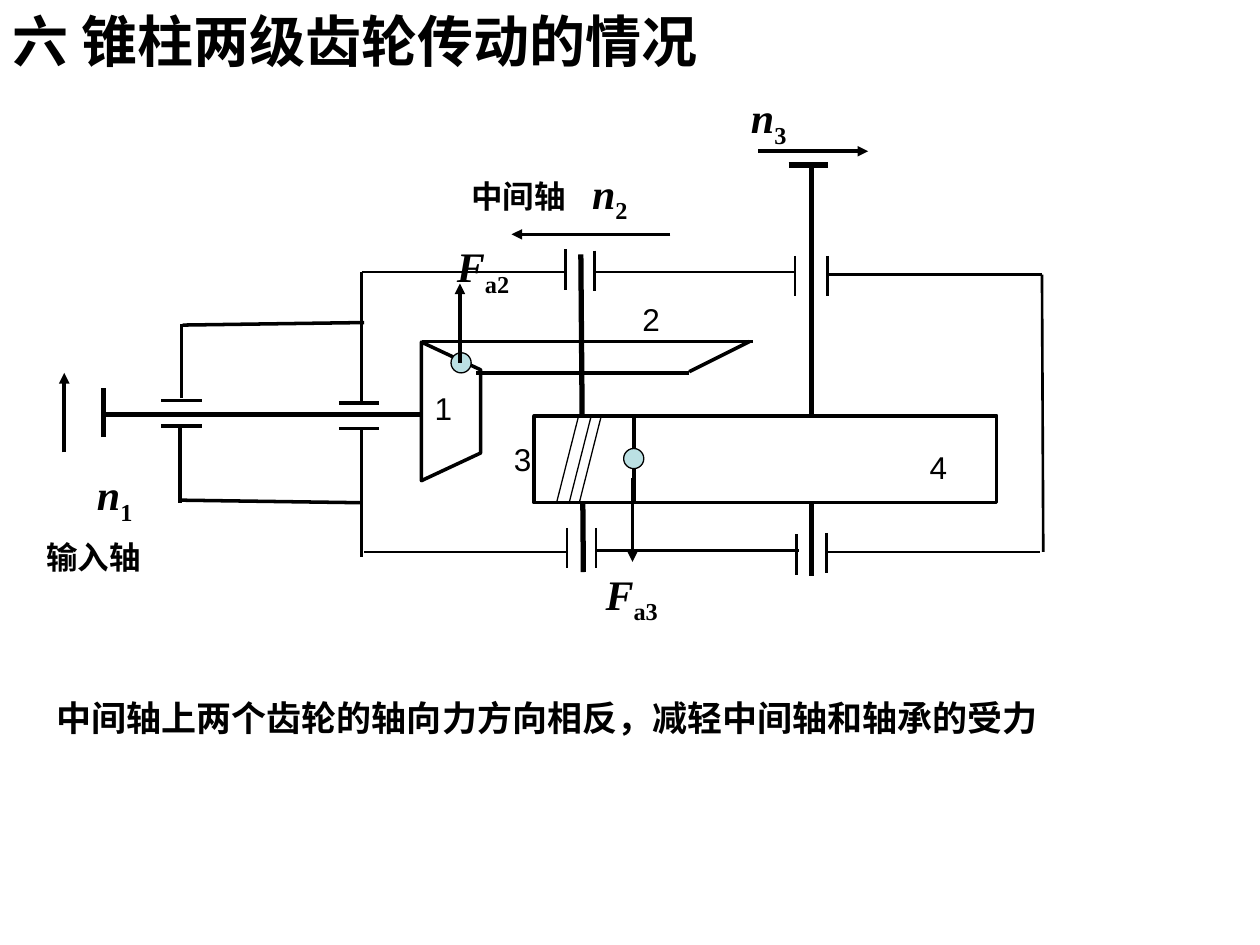
from pptx import Presentation
from pptx.util import Inches, Pt
from pptx.dml.color import RGBColor
from pptx.enum.shapes import MSO_CONNECTOR, MSO_SHAPE
from pptx.enum.text import MSO_ANCHOR, MSO_AUTO_SIZE, PP_ALIGN
from pptx.oxml.ns import qn
from lxml.etree import SubElement

BLACK = RGBColor(0x00, 0x00, 0x00)
WHITE = RGBColor(0xFF, 0xFF, 0xFF)
PALE_BLUE = RGBColor(0xBB, 0xE0, 0xE3)
CJK, SANS, SERIF = "Noto Sans CJK SC", "Arial", "Times New Roman"

# Content: text, left, top, width, height
TITLE = ("六 锥柱两级齿轮传动的情况", 0, 0, 6.18, 0.64)
CONCLUSION = ("中间轴上两个齿轮的轴向力方向相反，减轻中间轴和轴承的受力", 0.35, 5.48, 8.03, 0.44)
SHAFT_NAMES = [("输入轴", 0.27, 4.22), ("中间轴", 3.64, 1.36)]
GEAR_NUMBERS = [("1", 3.35, 3.04), ("2", 5, 2.33), ("3", 3.98, 3.44), ("4", 7.28, 3.51)]
SYMBOLS = [("n", "1", 0.2, 3.67), ("n", "2", 4.13, 1.28), ("n", "3", 5.39, 0.68),
           ("F", "a2", 3.19, 1.86), ("F", "a3", 4.37, 4.46)]

# Lines: x1, y1, x2, y2
SHAFTS = [(0.83, 3.29, 3.58, 3.29), (4.61, 2.02, 4.63, 4.54), (6.44, 1.31, 6.44, 4.57),
          (0.82, 3.47, 0.82, 3.08), (6.26, 1.31, 6.57, 1.31)]
HOUSING = [(2.87, 2.16, 4.48, 2.16), (4.72, 2.16, 6.32, 2.16), (6.57, 2.18, 8.27, 2.18),
           (2.89, 4.38, 4.49, 4.38), (4.74, 4.37, 6.34, 4.37), (6.56, 4.38, 8.25, 4.38),
           (8.27, 2.18, 8.28, 4.38)]
INPUT_HOUSING = [(2.87, 2.16, 2.87, 3.18), (2.87, 3.39, 2.87, 4.42),
                 (1.44, 3.16, 1.44, 2.57), (1.45, 2.58, 2.89, 2.56),
                 (1.43, 3.39, 1.43, 3.99), (1.44, 3.97, 2.86, 3.99)]
BEVEL_GEAR_2 = [(3.35, 2.71, 5.98, 2.71), (3.78, 2.96, 5.47, 2.96), (5.47, 2.95, 5.95, 2.71)]
ARROWS = [(6.02, 1.2, 6.89, 1.2), (5.32, 1.86, 4.06, 1.86), (0.51, 3.59, 0.51, 2.96),
          (3.65, 2.88, 3.65, 2.25), (5.02, 3.79, 5.02, 4.46)]

# Bearing plates: start points, all of one length
PLATE = 0.32
UPRIGHT_PLATES = [(4.49, 1.98), (4.72, 1.99), (6.31, 2.03), (6.57, 2.03),
                  (4.5, 4.19), (4.73, 4.19), (6.32, 4.24), (6.56, 4.23)]
FLAT_PLATES = [(1.28, 3.18), (1.28, 3.38), (2.69, 3.2), (2.69, 3.4)]

# Helical teeth: top x of each, with a common slant
TEETH_X, SLANT = (4.59, 4.69, 4.77), 0.17

prs = Presentation()
prs.slide_width, prs.slide_height = Inches(10), Inches(7.5)
s = prs.slides.add_slide(prs.slide_layouts[5])


def add_line(x1, y1, x2, y2, width, arrow=False):
    c = s.shapes.add_connector(MSO_CONNECTOR.STRAIGHT, *map(Inches, (x1, y1, x2, y2)))
    c.line.color.rgb = BLACK
    c.line.width = Pt(width)
    if arrow:
        SubElement(c.line._get_or_add_ln(), qn("a:tailEnd"), type="triangle")
    SubElement(c._element.spPr, qn("a:effectLst"))


def add_part(kind, x, y, w, h, fill=WHITE, width=2, rotation=0):
    sp = s.shapes.add_shape(kind, *map(Inches, (x, y, w, h)))
    sp.shadow.inherit = False
    sp.fill.solid()
    sp.fill.fore_color.rgb = fill
    sp.line.color.rgb = BLACK
    sp.line.width = Pt(width)
    sp.rotation = rotation


def write(sp, runs, align=PP_ALIGN.LEFT):
    tf = sp.text_frame
    tf.word_wrap = True
    tf.auto_size = MSO_AUTO_SIZE.NONE
    tf.vertical_anchor = MSO_ANCHOR.TOP
    p = tf.paragraphs[0]
    p.alignment = align
    for text, fmt, baseline in runs:
        r = p.add_run()
        r.text = text
        for name, value in fmt.items():
            setattr(r.font, name, value)
        r.font.color.rgb = BLACK
        rPr = r._r.get_or_add_rPr()
        SubElement(rPr, qn("a:ea"), typeface=CJK)
        if baseline:
            rPr.set("baseline", str(baseline))


def add_text(x, y, w, h, runs, align=PP_ALIGN.LEFT):
    write(s.shapes.add_textbox(*map(Inches, (x, y, w, h))), runs, align)


# Title
text, *box = TITLE
title = s.shapes.title
title.left, title.top, title.width, title.height = map(Inches, box)
write(title, [(text, dict(size=Pt(32), name=CJK, bold=True), 0)])

# Shafts, then the gears in front of them
for ends in SHAFTS:
    add_line(*ends, 3)
add_part(MSO_SHAPE.RECTANGLE, 5.02, 3.3, 2.89, 0.69)
add_part(MSO_SHAPE.RECTANGLE, 4.24, 3.3, 0.79, 0.69)
add_part(MSO_SHAPE.FLOWCHART_MANUAL_OPERATION, 3.03, 3.03, 1.1, 0.47, rotation=270)
for ends in BEVEL_GEAR_2:
    add_line(*ends, 2)
for x in TEETH_X:
    add_line(x, 3.31, x - SLANT, 3.98, 0.75)

# Housing and bearings
for ends in HOUSING:
    add_line(*ends, 1.5)
for ends in INPUT_HOUSING:
    add_line(*ends, 2)
for x, y in UPRIGHT_PLATES:
    add_line(x, y, x, y + PLATE, 1.5)
for x, y in FLAT_PLATES:
    add_line(x, y, x + PLATE, y, 2)

# Force points and direction arrows
for x, y in [(3.58, 2.8), (4.95, 3.56)]:
    add_part(MSO_SHAPE.OVAL, x, y, 0.16, 0.16, PALE_BLUE, 0.75)
for ends in ARROWS:
    add_line(*ends, 2, arrow=True)

# Labels
for text, x, y in SHAFT_NAMES:
    add_text(x, y, 1.1, 0.4, [(text, dict(size=Pt(18), name=SANS, bold=True), 0)])
for text, x, y in GEAR_NUMBERS:
    add_text(x, y, 0.39, 0.4, [(text, dict(size=Pt(18), name=SANS), 0)])
symbol = dict(size=Pt(24), name=SERIF, bold=True)
for letter, index, x, y in SYMBOLS:
    add_text(x, y, 0.95, 0.56, [(letter, dict(symbol, italic=True), 0),
                                (index, dict(symbol, italic=False), -25000)], PP_ALIGN.RIGHT)
text, *box = CONCLUSION
add_text(*box, [(text, dict(size=Pt(20), name=SANS, bold=True), 0)])

prs.save("out.pptx")
